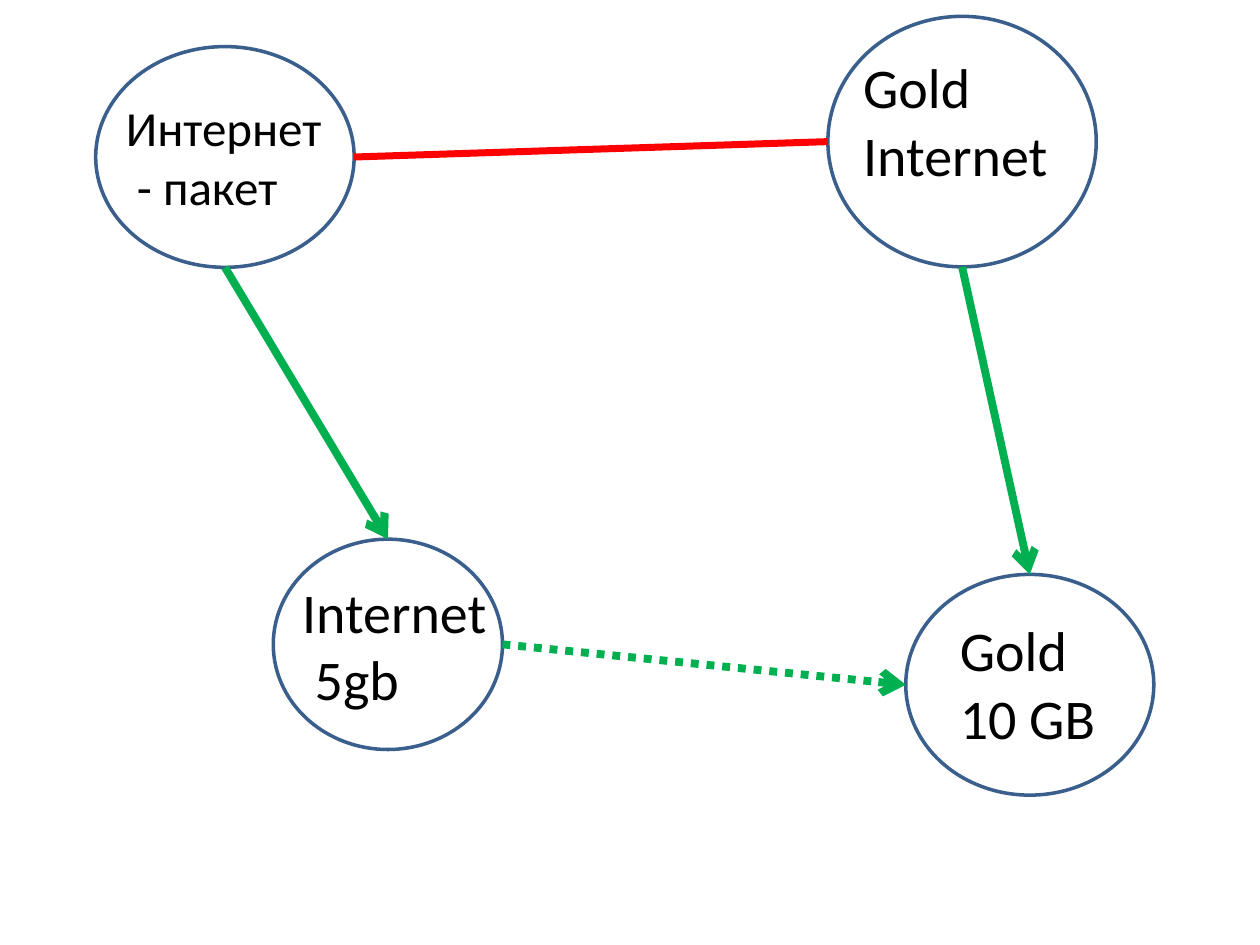
from lxml import etree
from pptx import Presentation, util as u
from pptx.dml.color import RGBColor
from pptx.enum import dml, shapes, text
from pptx.oxml.ns import qn

theme = {
    "font": "Calibri",
    "ink": RGBColor.from_string("000000"),
    "outline": RGBColor.from_string("3A5F8C"),
    "green": RGBColor.from_string("00B050"),
    "red": RGBColor.from_string("FF0000"),
    "small": u.Pt(28),
    "large": u.Pt(32),
}

deck = Presentation()
deck.slide_width, deck.slide_height = u.Cm(25.4), u.Cm(19.05)
slide = deck.slides.add_slide(deck.slide_layouts[6])

nodes = {
    "package": (1.93, 0.94, 5.21, 4.45),
    "package_5gb": (5.51, 10.87, 4.62, 4.24),
    "gold": (16.69, 0.33, 5.41, 5.05),
    "gold_10gb": (18.26, 11.58, 5, 4.45),
}
sides = {"top": (0.5, 0), "bottom": (0.5, 1), "left": (0, 0.5), "right": (1, 0.5)}
links = [
    ("package", "bottom", "package_5gb", "top", "green", 4.5, True, None),
    ("gold", "bottom", "gold_10gb", "top", "green", 4.5, True, None),
    ("package", "right", "gold", "left", "red", 4, False, None),
    ("package_5gb", "right", "gold_10gb", "left", "green", 4.5, True,
     dml.MSO_LINE.ROUND_DOT),
]
labels = [
    ((2.29, 1.85, 4.5, 2.64), "small", ["Интернет", " - пакет"]),
    ((17.15, 0.94, 4.52, 3), "large", ["Gold ", "Internet\u00a0"]),
    ((19.1, 12.29, 3.53, 3), "large", ["Gold ", "10 GB\u00a0"]),
    ((5.84, 11.51, 4.27, 3), "large", ["Internet", " 5gb\u00a0\u00a0"]),
]


def anchor(node, side):
    left, top, width, height = nodes[node]
    across, down = sides[side]
    return u.Cm(left + across * width), u.Cm(top + down * height)


for place in nodes.values():
    oval = slide.shapes.add_shape(shapes.MSO_SHAPE.OVAL, *map(u.Cm, place))
    oval.shadow.inherit = False
    oval.fill.background()
    oval.line.color.rgb = theme["outline"]
    oval.line.width = u.Pt(2)

for start, start_side, end, end_side, color, width, arrow, dash in links:
    link = slide.shapes.add_connector(
        shapes.MSO_CONNECTOR.STRAIGHT,
        *anchor(start, start_side), *anchor(end, end_side))
    link.line.color.rgb = theme[color]
    link.line.width = u.Pt(width)
    if dash:
        link.line.dash_style = dash
    if arrow:
        etree.SubElement(link.line._get_or_add_ln(), qn("a:tailEnd"), type="arrow")
    etree.SubElement(link._element.spPr, qn("a:effectLst"))

for place, size, lines in labels:
    box = slide.shapes.add_textbox(*map(u.Cm, place))
    frame = box.text_frame
    frame.word_wrap = False
    frame.auto_size = text.MSO_AUTO_SIZE.SHAPE_TO_FIT_TEXT
    frame.text = "\n".join(lines)
    for para in frame.paragraphs:
        for span in para.runs:
            span.font.color.rgb = theme["ink"]
            for name, value in {"name": theme["font"], "size": theme[size]}.items():
                setattr(span.font, name, value)

deck.save("out.pptx")
